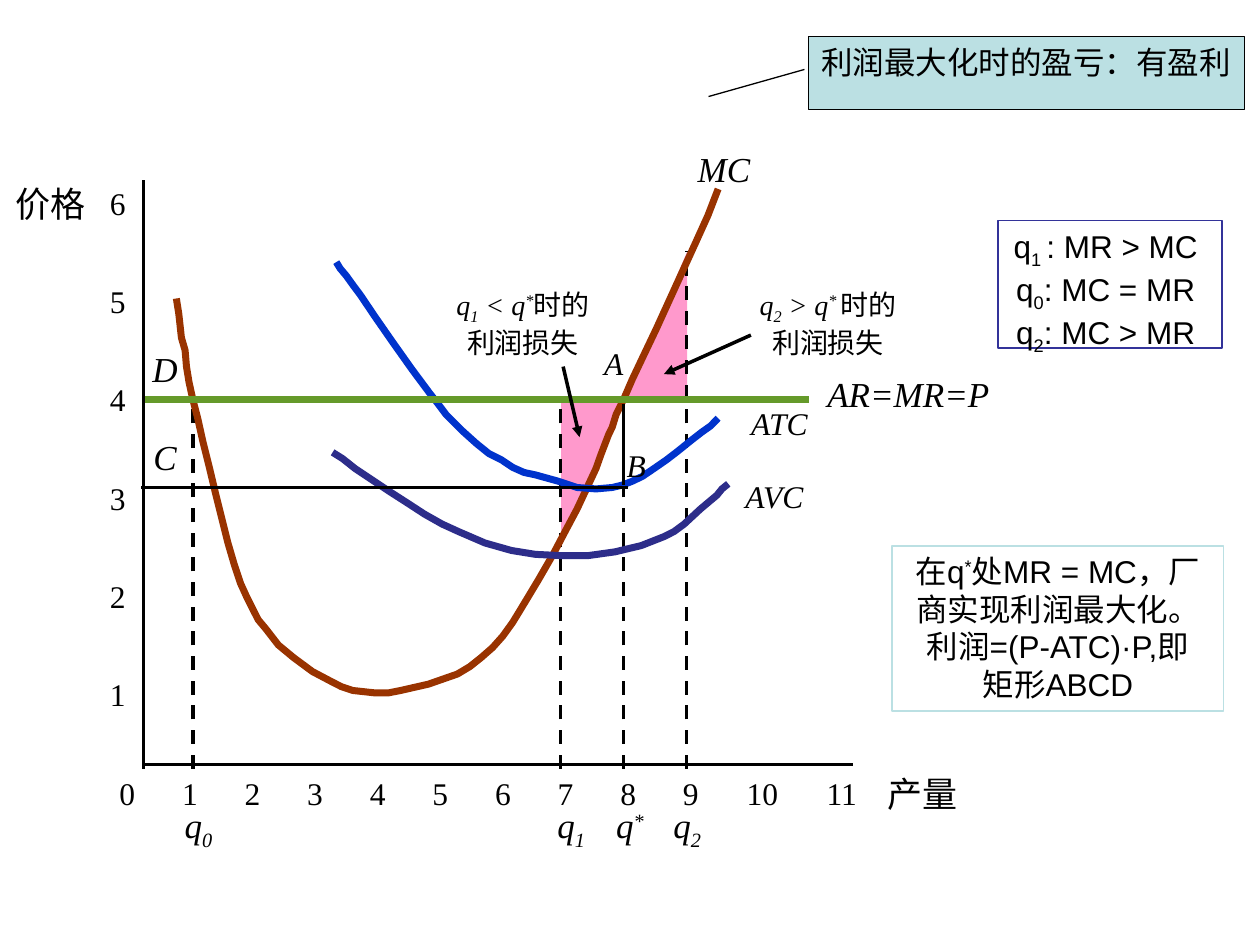
from dataclasses import dataclass

from lxml.etree import SubElement
from pptx import Presentation
from pptx.dml.color import RGBColor
from pptx.enum.dml import MSO_LINE
from pptx.enum.shapes import MSO_CONNECTOR, MSO_SHAPE
from pptx.enum.text import MSO_ANCHOR, PP_ALIGN
from pptx.oxml.ns import qn
from pptx.util import Pt


@dataclass(frozen=True)
class Theme:
    black: RGBColor = RGBColor(0x00, 0x00, 0x00)
    white: RGBColor = RGBColor(0xFF, 0xFF, 0xFF)
    loss: RGBColor = RGBColor(0xFF, 0x99, 0xCC)
    marginal: RGBColor = RGBColor(0x99, 0x33, 0x00)
    variable: RGBColor = RGBColor(0x2D, 0x2D, 0x8A)
    total: RGBColor = RGBColor(0x00, 0x33, 0xCC)
    price: RGBColor = RGBColor(0x65, 0x9A, 0x2A)
    pale: RGBColor = RGBColor(0xBB, 0xE0, 0xE3)
    frame: RGBColor = RGBColor(0x33, 0x33, 0x99)
    serif: str = "Times New Roman"
    sans: str = "Arial"
    large: int = 20
    medium: int = 18
    small: int = 16


theme = Theme()
SUB, SUPER = -25000, 30000

presentation = Presentation()
presentation.slide_width, presentation.slide_height = Pt(720), Pt(540)
slide = presentation.slides.add_slide(presentation.slide_layouts[6])
shapes = slide.shapes


def write(shape, paragraphs, size, font, italic=False, align=PP_ALIGN.CENTER):
    """Fill a shape with paragraphs, each a list of texts or (text, baseline)."""
    frame = shape.text_frame
    frame.vertical_anchor = MSO_ANCHOR.TOP
    for index, runs in enumerate(paragraphs):
        paragraph = frame.add_paragraph() if index else frame.paragraphs[0]
        paragraph.alignment = align
        for item in runs:
            text, baseline = (item, 0) if isinstance(item, str) else item
            run = paragraph.add_run()
            run.text = text
            run.font.size, run.font.name = Pt(size), font
            run.font.italic = italic and text.isascii()
            run.font.color.rgb = theme.black
            if baseline:
                run.font._element.set("baseline", str(baseline))


def draw_line(x1, y1, x2, y2, color=theme.black, width=2, dashed=False, arrow=False):
    line = shapes.add_connector(MSO_CONNECTOR.STRAIGHT, Pt(x1), Pt(y1), Pt(x2), Pt(y2))
    line.line.color.rgb, line.line.width = color, Pt(width)
    if dashed:
        line.line.dash_style = MSO_LINE.DASH
    if arrow:
        SubElement(line.line._get_or_add_ln(), qn("a:tailEnd"), type="triangle")
    SubElement(line._element.spPr, qn("a:effectLst"))


# Shaded profit losses
for left, top, rotation in [(332.6, 167.8, 270), (296.6, 252, 90)]:
    triangle = shapes.add_shape(
        MSO_SHAPE.RIGHT_TRIANGLE, Pt(left), Pt(top), Pt(84.2), Pt(36))
    triangle.rotation = rotation
    triangle.shadow.inherit = False
    triangle.fill.solid()
    triangle.fill.fore_color.rgb = theme.loss
    triangle.line.fill.background()

# Dashed output levels q0, q1, q*, q2
for x, top in [(110.2, 226.8), (320.4, 226.8), (356.4, 226.8), (392.4, 143.3)]:
    draw_line(x, 439.2, x, top, dashed=True)

# Axes
draw_line(82.1, 103, 82.1, 439.2)
draw_line(82.8, 437, 487.4, 437)

# Cost curves
marginal_cost = [
    (100.8, 170.6), (102.2, 179.3), (103.7, 193), (105.8, 200.2), (106.6, 209.5),
    (108, 218.2), (110.2, 228.2), (113, 239), (115.9, 252), (119.5, 266.4),
    (123.1, 281.5), (126.7, 295.9), (130.3, 310.3), (133.9, 322.6), (137.5, 333.4),
    (141.1, 341.3), (144.7, 348.5), (147.6, 354.2), (151.9, 359.3), (159.1, 368.6),
    (167.8, 375.8), (178.6, 383.8), (189.4, 389.5), (195.1, 392.4), (201.6, 394.6),
    (214.6, 396), (221.8, 396), (229, 394.6), (244.8, 391), (261.4, 385.2),
    (268.6, 380.9), (275, 375.8), (281.5, 370.1), (287.3, 363.6), (293, 355.7),
    (297.4, 348.5), (307.4, 331.9), (316.1, 316.8), (323.3, 303.1), (329.8, 290.9),
    (340.6, 267.8), (343.4, 259.9), (347.8, 248.4), (349.9, 244.1), (352.1, 236.9),
    (356.4, 228.2), (361.4, 216.7), (367.9, 203), (375.1, 187.9), (382.3, 172.1),
    (397.4, 139), (404.6, 123.1), (410.4, 108)]
average_variable_cost = [
    (190.1, 258.5), (195.8, 262.1), (203, 267.8), (211.7, 273.6), (222.5, 280.8),
    (232.6, 287.3), (242.6, 293.8), (252.7, 299.5), (262.1, 303.8), (277.2, 310.3),
    (292.3, 314.6), (306, 316.8), (320.4, 317.5), (336.2, 317.5), (351.4, 315.4),
    (366.5, 311.8), (379.4, 306.7), (385.2, 303.8), (391, 299.5), (400.3, 290.9),
    (409.7, 283), (412.6, 279.4), (416.2, 276.5)]
average_total_cost = [
    (192.2, 149.8), (194.4, 153.4), (198, 157.7), (201.6, 162.7), (205.9, 168.5),
    (214.6, 181.4), (224.6, 195.8), (235.4, 211), (245.5, 224.6), (250.6, 231.1),
    (254.9, 236.9), (259.9, 241.9), (264.2, 246.2), (272.2, 253.4), (279.4, 259.2),
    (286.6, 262.8), (293, 267.1), (299.5, 270), (306, 271.4), (319, 275),
    (329.8, 278.6), (340.6, 279.4), (349.9, 278.6), (355.7, 277.2), (361.4, 275),
    (367.2, 272.2), (373.7, 267.8), (380.9, 262.8), (387.4, 257.8), (394.6, 252),
    (401, 247), (406.1, 243.4), (410.4, 239)]
for points, color in [(marginal_cost, theme.marginal),
                      (average_variable_cost, theme.variable),
                      (average_total_cost, theme.total)]:
    start, *rest = [(Pt(x), Pt(y)) for x, y in points]
    builder = shapes.build_freeform(*start)
    builder.add_line_segments(rest, close=False)
    curve = builder.convert_to_shape()
    curve.shadow.inherit = False
    curve.fill.background()
    curve.line.color.rgb, curve.line.width = color, Pt(4)

# Price line, profit rectangle and pointers to the losses
draw_line(82.8, 228.2, 462.2, 228.2, theme.price, 4)
draw_line(358.6, 278.6, 80.6, 278.6)
draw_line(356.4, 231.1, 356.4, 277.2)
draw_line(321.8, 209.5, 331.2, 249.8, arrow=True)
draw_line(429.1, 191.5, 379.4, 213.8, arrow=True)

# Labels: paragraphs, left, top, width, size, italic
labels = [([[str(6 - row)]], 55.4, 101.5 + 56.16 * row, 23.8, theme.medium, False)
          for row in range(6)]
labels += [([[str(column)]], 60.5 + 35.78 * column, 438.5, 24.5, theme.medium, False)
           for column in range(10)]
labels += [
    ([["10"]], 418.3, 438.5, 34.6, theme.medium, False),
    ([["11"]], 463.7, 438.5, 34.6, theme.medium, False),
    ([["价格"]], 1.4, 100.8, 54.7, theme.large, False),
    ([["产量"]], 499.7, 437.8, 54.7, theme.large, False),
    ([["q", ("0", SUB)]], 96.5, 455.8, 33.8, theme.large, True),
    ([["q", ("1", SUB)]], 309.6, 455.8, 33.8, theme.large, True),
    ([["q", ("*", SUPER)]], 344.2, 455.8, 31.7, theme.large, True),
    ([["q", ("2", SUB)]], 375.8, 455.8, 33.8, theme.large, True),
    ([["MC"]], 391, 80.6, 45.4, theme.large, True),
    ([["AVC"]], 416.2, 269.3, 52.6, theme.medium, True),
    ([["ATC"]], 419.8, 227.5, 51.1, theme.medium, True),
    ([["AR=MR=P"]], 463.7, 209.5, 110.9, theme.large, True),
    ([["A"]], 337, 193, 27.4, theme.medium, True),
    ([["B"]], 349.9, 251.3, 27.4, theme.medium, True),
    ([["C"]], 79.9, 245.5, 28.8, theme.large, True),
    ([["D"]], 79.9, 195.1, 28.8, theme.large, True),
    ([["q", ("1", SUB), " < q", ("*", SUPER), "时的"], ["利润损失"]],
     251.3, 160.6, 95, theme.small, True),
    ([["q", ("2", SUB), " > q", ("* ", SUPER), "时的"], ["利润损失"]],
     423.4, 160.6, 99.4, theme.small, True),
]
for paragraphs, left, top, width, size, italic in labels:
    height = 7.2 + 1.2 * size * len(paragraphs)
    label = shapes.add_textbox(Pt(left), Pt(top), Pt(width), Pt(height))
    label.text_frame.word_wrap = False
    write(label, paragraphs, size, theme.serif, italic)

# Explanation boxes and callout
profit_text = [["在q", ("*", SUPER), "处MR = MC，厂商实现利润最大化。"],
               ["利润=(P-ATC)·P,即"], ["矩形ABCD"]]
rule_text = [["q", ("1 ", SUB), ": MR > MC "],
             ["q", ("0", SUB), ": MC = MR "],
             ["q", ("2", SUB), ": MC > MR "]]
title_text = [["利润最大化时的盈亏：有盈利"]]
boxes = [
    (MSO_SHAPE.RECTANGLE, (509.8, 311.8, 189.4, 94.3), theme.white, theme.pale, 1,
     profit_text, PP_ALIGN.CENTER),
    (MSO_SHAPE.RECTANGLE, (570.2, 126, 128.2, 72.7), theme.white, theme.frame, 1,
     rule_text, PP_ALIGN.CENTER),
    (MSO_SHAPE.LINE_CALLOUT_1, (462.2, 20.9, 249.1, 41.8), theme.pale, theme.black, 0.75,
     title_text, PP_ALIGN.LEFT),
]
for kind, bounds, fill, outline, width, paragraphs, align in boxes:
    box = shapes.add_shape(kind, *[Pt(length) for length in bounds])
    box.shadow.inherit = False
    box.fill.solid()
    box.fill.fore_color.rgb = fill
    box.line.color.rgb, box.line.width = outline, Pt(width)
    box.text_frame.word_wrap = True
    write(box, paragraphs, theme.medium, theme.sans, align=align)
    if kind == MSO_SHAPE.LINE_CALLOUT_1:
        for index, value in enumerate([0.45, -0.01, 0.82, -0.23]):
            box.adjustments[index] = value

presentation.save("out.pptx")
